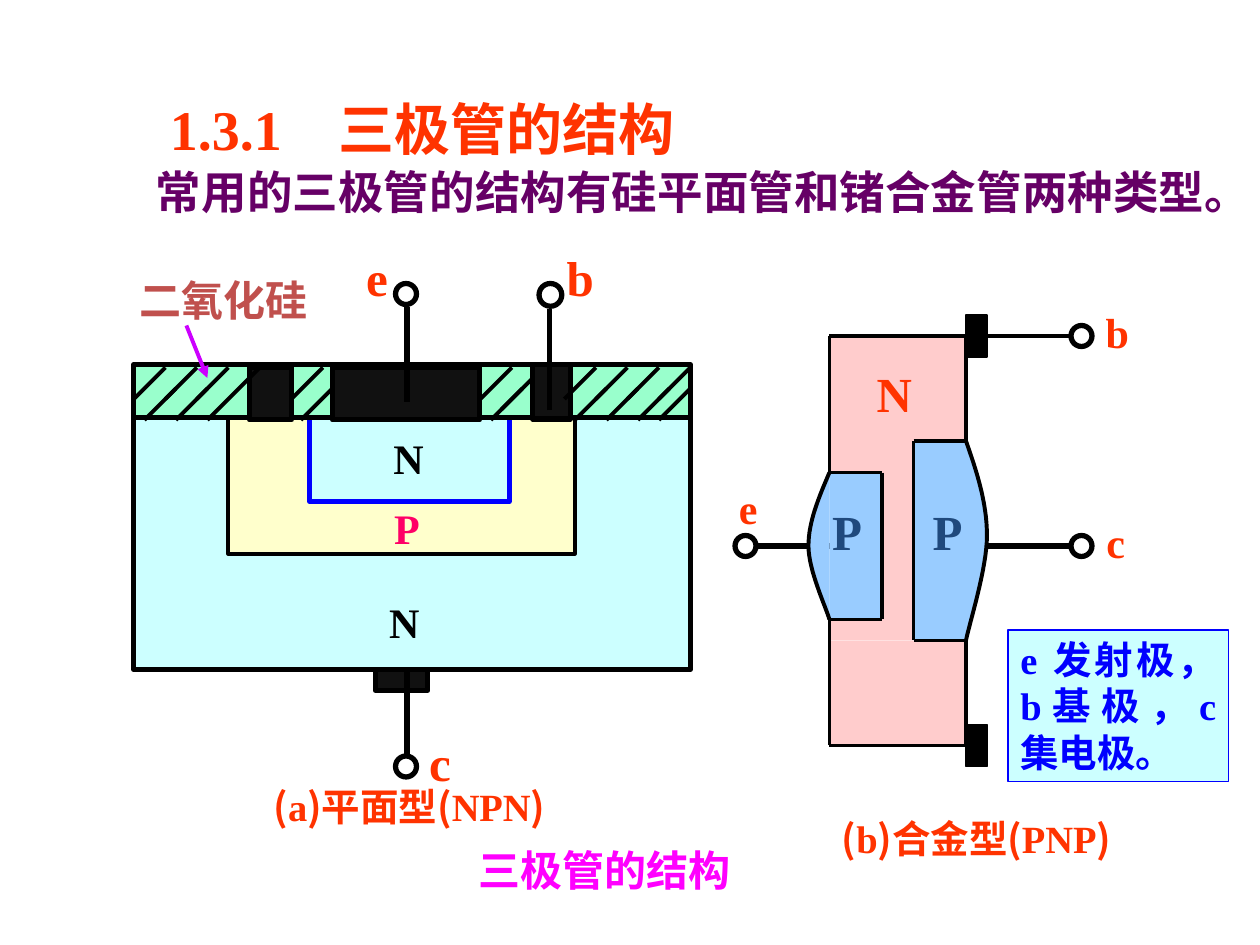
from lxml.etree import SubElement
from pptx import Presentation
from pptx.dml.color import RGBColor
from pptx.enum.shapes import MSO_CONNECTOR, MSO_SHAPE
from pptx.enum.text import MSO_ANCHOR, PP_ALIGN
from pptx.oxml.ns import qn
from pptx.util import Pt

BLACK = RGBColor(0x00, 0x00, 0x00)
WHITE = RGBColor(0xFF, 0xFF, 0xFF)
PAD = RGBColor(0x11, 0x11, 0x11)
RED = RGBColor(0xFF, 0x33, 0x00)
PURPLE = RGBColor(0x66, 0x00, 0x66)
MAGENTA = RGBColor(0xFF, 0x00, 0xFF)
VIOLET = RGBColor(0xCC, 0x00, 0xFF)
BLUE = RGBColor(0x00, 0x00, 0xFF)
NAVY = RGBColor(0x1F, 0x49, 0x7D)
BRICK = RGBColor(0xC0, 0x50, 0x4D)
ROSE = RGBColor(0xFF, 0x00, 0x66)
CYAN = RGBColor(0xCC, 0xFF, 0xFF)
CREAM = RGBColor(0xFF, 0xFF, 0xCC)
MINT = RGBColor(0x99, 0xFF, 0xCC)
SKY = RGBColor(0x99, 0xCC, 0xFF)
PINK = RGBColor(0xFF, 0xCC, 0xCC)
LATIN, CJK = "Times New Roman", "Noto Sans CJK SC"

TITLE = "1.3.1　三极管的结构"
INTRO = "常用的三极管的结构有硅平面管和锗合金管两种类型。"
FIGURE = "三极管的结构"
LEGEND = "e 发射极，b基极，c 集电极。"
# Left, top, letter, kind, polarity
CAPTIONS = [(120, 444, "a", "平面型", "NPN"), (444, 462, "b", "合金型", "PNP")]

# Planar transistor: left, top, width, height, fill, line colour, line width
PLANAR_BLOCKS = [
    (76.5, 238.5, 318, 144, CYAN, BLACK, 3),
    (130.5, 238.5, 198, 78, CREAM, BLACK, 2.25),
    (177, 238.5, 114, 48, CYAN, BLUE, 3),
    (214.5, 382.5, 30, 12, PAD, BLACK, 3),
    (76.5, 208.5, 318, 30, MINT, BLACK, 3),
    (142.5, 210, 24, 30, PAD, BLACK, 3),
    (190, 210, 84, 30, PAD, BLACK, 3),
    (304.5, 208.5, 21.5, 31, PAD, BLACK, 3),
]
PLANAR_LEADS = [(232.5, 382.5, 232.5, 436), (232.5, 229.5, 232.5, 175.5),
                (314, 234.5, 314, 176.5)]
PLANAR_TERMINALS = [(226, 432, 12), (226, 162, 12), (308, 162, 13)]
# Oxide hatching: top, length, right ends
HATCHES = [
    (210, 18, [94.5, 112.5, 130.5, 184.5, 292.5, 340.5, 358.5, 376.5, 394.5]),
    (222, 18, [100.5, 118.5, 190, 298.5, 346.5, 364.5, 382.5, 394.5]),
    (210, 30, [148.5]),
    (216, 18, [304.5]),
]

# Alloy transistor: columns and rows of the crystal
X1, X2, X3, X4 = 474, 504, 522, 552
Y1, Y2, Y3, Y4, Y5, Y6 = 192, 252, 270, 354, 366, 426
ALLOY_LEADS = [(612, 312, 558, 312), (486, 312, 432, 312)]
ALLOY_FILLS = [
    (X1, Y3, X2, Y4, SKY), (X3, Y2, X4, Y5, SKY),
    (X1, Y1, X4, Y2, PINK), (X1, Y5, X4, Y6, PINK), (X2, Y2, X3, Y5, PINK),
    (X1, Y2, X2, Y3, PINK), (X1, Y4, X2, Y5, PINK),
]
ALLOY_EDGES = [
    (X3, Y5, X4, Y5), (X3, Y2, X4, Y2), (X3, Y2, X3, Y5),
    (X1, Y4, X1, Y6), (X1, Y1, X1, Y3), (X4, Y1, X4, Y2), (X4, Y5, X4, Y6),
    (X1, Y1, 624, Y1), (X1, Y6, 564, Y6),
    (X2, Y3, X2, Y4), (X1, Y3, X2, Y3), (X1, Y4, X2, Y4),
]
# Each bulge is two Bezier curves sharing their end points
ALLOY_BULGES = [
    [[(X4, Y2), (558, 269), (564, 287), (564, 306)],
     [(564, 306), (564, 325), (554, 356), (X4, Y5)]],
    [[(X1, Y3), (468, 284), (462, 298), (462, 312)],
     [(462, 312), (462, 326), (472, 347), (X1, Y4)]],
]
ALLOY_TERMINALS = [(612, 186, 12), (420, 306, 12), (612, 306, 12)]

# Labels: centre x, centre y, text, size, colour
LABELS = [
    (231, 355, "N", 24, BLACK), (233.5, 261.5, "N", 24, BLACK),
    (232.5, 301.5, "P", 24, ROSE), (215.5, 158.5, "e", 28, RED),
    (331.5, 158.5, "b", 28, RED), (251.5, 435.5, "c", 28, RED),
    (128, 171.5, "二氧化硅", 24, BRICK), (638.5, 189.5, "b", 24, RED),
    (427.5, 290, "e", 24, RED), (637.5, 309.5, "c", 24, RED),
    (484, 303.5, "P", 28, NAVY), (511, 224.5, "N", 28, RED),
    (541.5, 303.5, "P", 28, NAVY),
]

prs = Presentation()
prs.slide_width, prs.slide_height = Pt(720), Pt(540)
s = prs.slides.add_slide(prs.slide_layouts[6])


def style(sp, fill, color=None, width=0.75):
    sp.shadow.inherit = False
    sp.fill.solid()
    sp.fill.fore_color.rgb = fill
    if color is None:
        sp.line.fill.background()
    else:
        sp.line.color.rgb = color
        sp.line.width = Pt(width)


def shape(x, y, w, h, fill, color=None, width=0.75, kind=MSO_SHAPE.RECTANGLE):
    sp = s.shapes.add_shape(kind, Pt(x), Pt(y), Pt(w), Pt(h))
    style(sp, fill, color, width)
    return sp


def terminal(x, y, d):
    shape(x, y, d, d, WHITE, BLACK, 3, MSO_SHAPE.OVAL)


def line(x1, y1, x2, y2, color=BLACK, width=2.25, arrow=False):
    c = s.shapes.add_connector(MSO_CONNECTOR.STRAIGHT, Pt(x1), Pt(y1), Pt(x2), Pt(y2))
    c.line.color.rgb = color
    c.line.width = Pt(width)
    if arrow:
        SubElement(c.line._get_or_add_ln(), qn("a:tailEnd"), type="triangle")
    SubElement(c._element.spPr, qn("a:effectLst"))


def text(runs, x, y, w, h, size, color, align=PP_ALIGN.LEFT, indent=0,
         wrap=True, anchor=MSO_ANCHOR.TOP, sp=None):
    """Write a string, or (text, font) pairs, into sp or a new text box."""
    sp = sp or s.shapes.add_textbox(Pt(x), Pt(y), Pt(w), Pt(h))
    tf = sp.text_frame
    tf.word_wrap, tf.vertical_anchor = wrap, anchor
    p = tf.paragraphs[0]
    p.alignment = align
    if indent:
        p._p.get_or_add_pPr().set("indent", str(Pt(indent)))
    for part, font in [(runs, LATIN)] if isinstance(runs, str) else runs:
        r = p.add_run()
        r.text = part
        r.font.name, r.font.size, r.font.bold = font, Pt(size), True
        r.font.color.rgb = color
        SubElement(r._r.get_or_add_rPr(), qn("a:ea"), typeface=CJK)


def bulge(curves, steps=16):
    points = []
    for p0, p1, p2, p3 in curves:
        for i in range(steps + 1):
            t = i / steps
            u = 1 - t
            points.append([Pt(u**3 * a + 3 * u * u * t * b + 3 * u * t * t * c + t**3 * d)
                           for a, b, c, d in zip(p0, p1, p2, p3)])
    fb = s.shapes.build_freeform(*points[0])
    fb.add_line_segments(points[1:], close=False)
    style(fb.convert_to_shape(), SKY, BLACK, 2.25)


# Headings and captions
text(TITLE, 90, 50.4, 372, 46, 32, RED)
text(INTRO, 30, 90, 666, 39, 26, PURPLE, align=PP_ALIGN.JUSTIFY, indent=52)
text(FIGURE, 198.5, 479, 294, 36, 24, MAGENTA, align=PP_ALIGN.CENTER)
for x, y, letter, kind, polarity in CAPTIONS:
    runs = [("(", CJK), (letter, LATIN), (f"){kind}(", CJK), (polarity, LATIN), (")", CJK)]
    text(runs, x, y, 228, 34, 22, RED, align=PP_ALIGN.CENTER)

# Planar transistor
for block in PLANAR_BLOCKS:
    shape(*block)
for lead in PLANAR_LEADS:
    line(*lead, width=3)
for spot in PLANAR_TERMINALS:
    terminal(*spot)
for top, length, ends in HATCHES:
    for x in ends:
        line(x, top, x - length, top + length)
line(106.5, 186, 118.5, 216, color=VIOLET, arrow=True)

# Alloy transistor
for lead in ALLOY_LEADS:
    line(*lead, width=3)
for x1, y1, x2, y2, fill in ALLOY_FILLS:
    shape(x1, y1, x2 - x1, y2 - y1, fill)
for edge in ALLOY_EDGES:
    line(*edge)
for curves in ALLOY_BULGES:
    bulge(curves)
for y in (Y1, Y6):
    shape(X4, y - 12, 12, 24, BLACK, BLACK)
for spot in ALLOY_TERMINALS:
    terminal(*spot)

# Labels and legend
for cx, cy, label, size, color in LABELS:
    w, h = size * len(label) + 14.4, size * 1.5
    text(label, cx - w / 2, cy - h / 2, w, h, size, color,
         align=PP_ALIGN.CENTER, wrap=False, anchor=MSO_ANCHOR.MIDDLE)
box = (576, 360, 126, 86.5)
text(LEGEND, *box, 22, BLUE, align=PP_ALIGN.JUSTIFY, sp=shape(*box, CYAN, BLUE))

prs.save("out.pptx")
